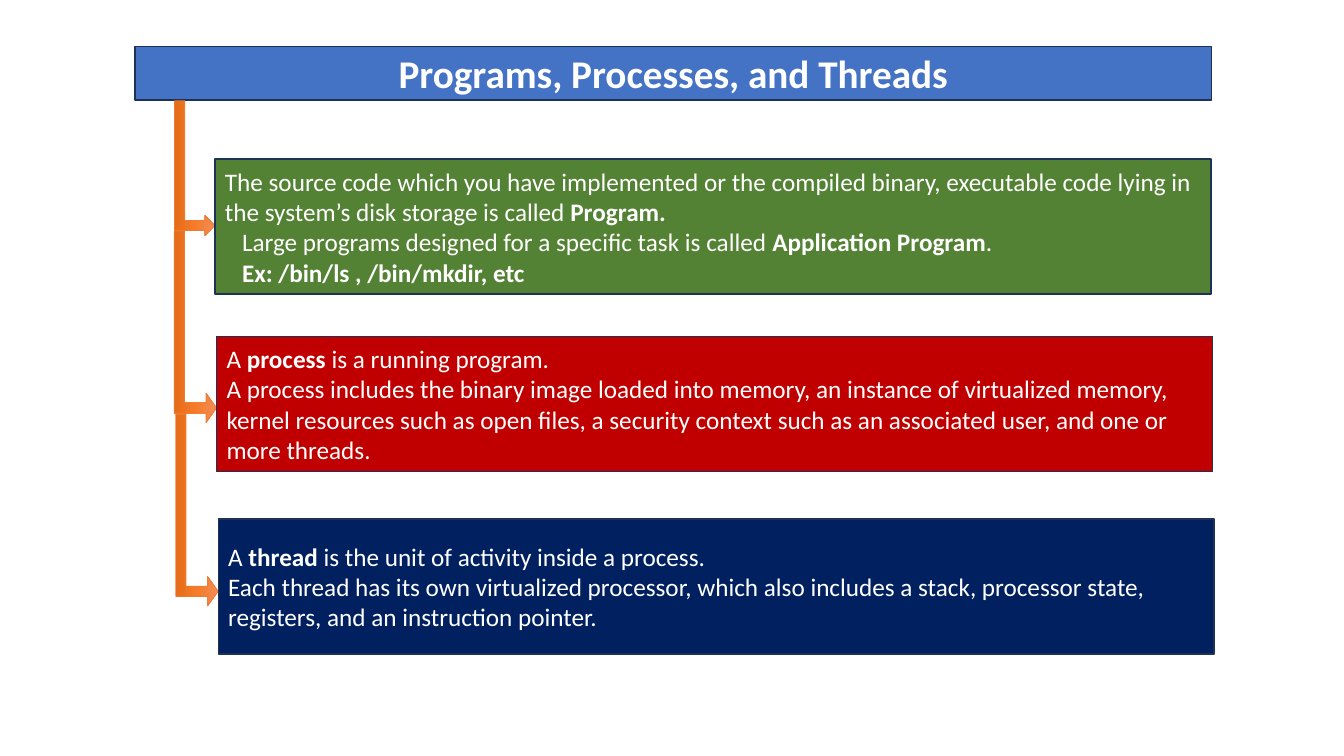
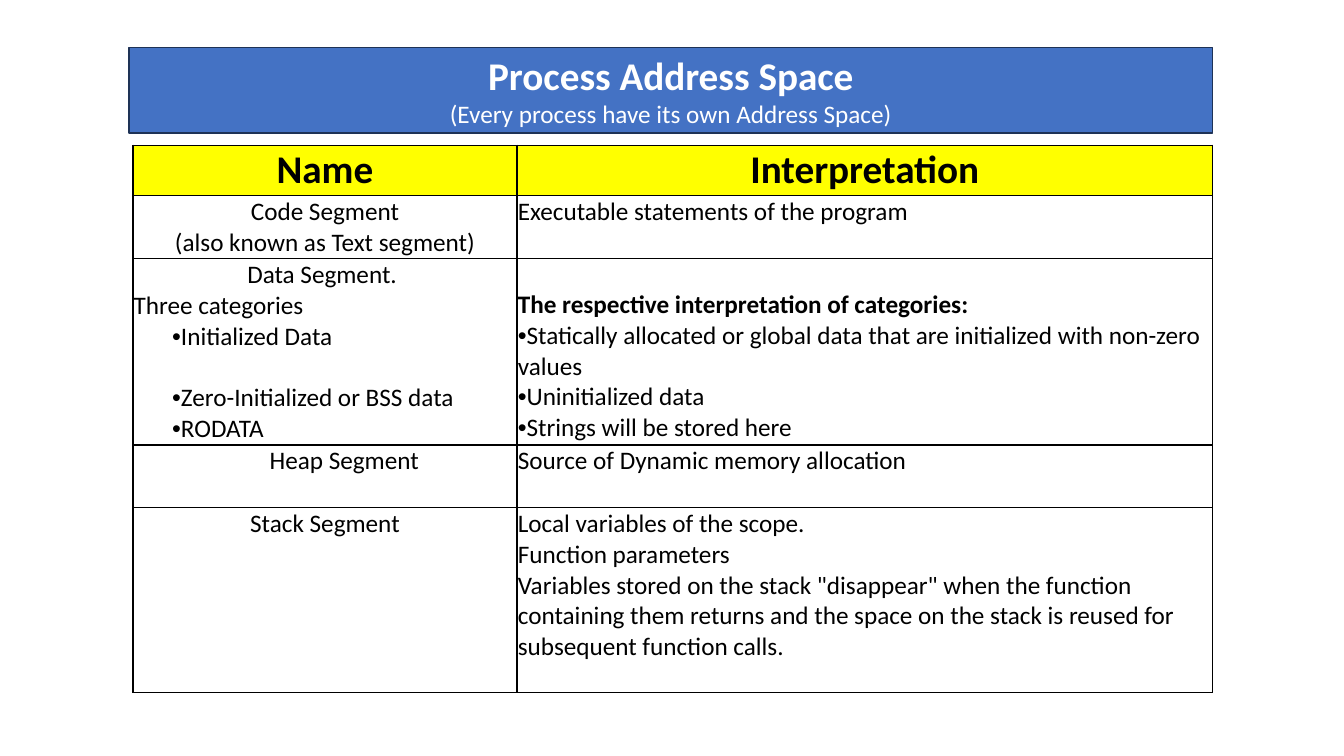
from copy import deepcopy

from lxml.etree import SubElement
from pptx import Presentation
from pptx.dml.color import RGBColor
from pptx.enum.shapes import MSO_SHAPE as SHAPE
from pptx.enum.text import MSO_ANCHOR as ANCHOR, MSO_AUTO_SIZE as AUTO_SIZE, PP_ALIGN as ALIGN
from pptx.oxml.ns import qn
from pptx.util import Cm, Pt

FONT = "Calibri"
WHITE = RGBColor(0xFF, 0xFF, 0xFF)
BLACK = RGBColor(0x00, 0x00, 0x00)
YELLOW = RGBColor(0xFF, 0xFF, 0x00)
BLUE = RGBColor(0x44, 0x72, 0xC4)
OUTLINE = RGBColor(0x1E, 0x32, 0x56)
GREEN = RGBColor(0x54, 0x82, 0x35)
RED = RGBColor(0xC0, 0x00, 0x00)
NAVY = RGBColor(0x00, 0x20, 0x60)
ORANGE = RGBColor(0xED, 0x7D, 0x31)
ORANGE_STOPS = (
    RGBColor(0xF1, 0x8C, 0x57),
    RGBColor(0xF6, 0x7B, 0x28),
    RGBColor(0xE5, 0x6C, 0x19),
)
HEADING_SIZE = 28
TEXT_SIZE = 18
LINE_HEIGHT = Pt(22)
CENTER = {"align": ALIGN.CENTER}
HEADING = {"size": HEADING_SIZE, "align": ALIGN.CENTER}
CATEGORY = {"indent": Cm(0.97), "bullet": True}
MEANING = {"bullet": True}

CONCEPTS = (
    (4.01, GREEN, (
        ("The source code which you have implemented or the compiled binary, executable code "
         "lying in the system’s disk storage is called **Program.**", {}),
        ("Large programs designed for a specific task is called **Application Program**.",
         {"indent": Cm(0.43)}),
        ("**Ex: /bin/ls , /bin/mkdir, etc**", {"indent": Cm(0.43)}),
    )),
    (8.48, RED, (
        ("A **process** is a running program.", {}),
        ("A process includes the binary image loaded into memory, an instance of virtualized "
         "memory, kernel resources such as open files, a security context such as an associated "
         "user, and one or more threads.", {}),
    )),
    (13.08, NAVY, (
        ("A **thread** is the unit of activity inside a process.", {}),
        ("Each thread has its own virtualized processor, which also includes a stack, processor "
         "state, registers, and an instruction pointer.", {}),
    )),
)
BRANCHES = (
    (2.54, 3.4, 1.02, (0.25, 0.25, 0.25)),
    (5.82, 4.83, 1.07, (0.24, 0.346, 0.25)),
    (10.44, 4.83, 1.07, (0.24, 0.346, 0.25)),
)
SEGMENTS = (
    (1.27, (("**Name**", HEADING),), (("**Interpretation**", HEADING),)),
    (1.58,
     (("Code Segment", CENTER), ("(also known as Text segment)", CENTER)),
     (("Executable statements of the program", {}),)),
    (4.69,
     (("Data Segment. ", CENTER),
      ("Three categories", {}),
      ("Initialized Data", CATEGORY),
      ("Zero-Initialized or BSS data", {**CATEGORY, "before": LINE_HEIGHT}),
      ("RODATA", CATEGORY)),
     (("**The respective interpretation of categories:**", {}),
      ("Statically allocated or global data that are initialized with non-zero values", MEANING),
      ("Uninitialized data", MEANING),
      ("Strings will be stored here", MEANING))),
    (1.58,
     (("Heap Segment", {**CENTER, "indent": Cm(0.97)}),),
     (("Source of Dynamic memory allocation", {}),)),
    (4.65,
     (("Stack Segment", CENTER),),
     (("Local variables of the scope.", {}),
      ("Function parameters", {}),
      ("Variables stored on the stack \"disappear\" when the function containing them returns "
       "and the space on the stack is reused for subsequent function calls.", {}))),
)
DATA_ROW = 2


def write(frame, text, size=TEXT_SIZE, color=BLACK, align=ALIGN.LEFT, indent=0,
          bullet=False, before=0):
    first = frame.paragraphs[0]
    paragraph = frame.add_paragraph() if first.runs else first
    properties = paragraph._p.get_or_add_pPr()
    properties.set("marL", str(int(indent)))
    properties.set("indent", "0")
    if bullet:
        SubElement(properties, qn("a:buFont")).set("typeface", "Arial")
        SubElement(properties, qn("a:buChar")).set("char", "•")
    paragraph.alignment = align
    paragraph.space_before = before
    for position, piece in enumerate(text.split("**")):
        if piece:
            run = paragraph.add_run()
            run.text = piece
            run.font.name = FONT
            run.font.size = Pt(size)
            run.font.bold = position % 2 == 1
            run.font.color.rgb = color


def paint(shape, fill, line=OUTLINE, weight=1):
    shape.fill.solid()
    shape.fill.fore_color.rgb = fill
    shape.line.color.rgb = line
    shape.line.width = Pt(weight)


def add_banner(slide, left, top, width, height, heading, subheading=None):
    banner = slide.shapes.title
    banner.left, banner.top, banner.width, banner.height = map(Cm, (left, top, width, height))
    outline = SubElement(banner._element.spPr, qn("a:prstGeom"))
    outline.set("prst", "roundRect")
    SubElement(outline, qn("a:avLst"))
    paint(banner, BLUE)
    frame = banner.text_frame
    frame.word_wrap = True
    frame.auto_size = AUTO_SIZE.NONE
    frame.vertical_anchor = ANCHOR.MIDDLE
    write(frame, f"**{heading}**", color=WHITE, **HEADING)
    if subheading:
        write(frame, subheading, color=WHITE, **CENTER)


def add_concept(slide, left, top, fill, paragraphs):
    box = slide.shapes.add_shape(SHAPE.RECTANGLE, Cm(left), Cm(top), Cm(25.1), Cm(3.4))
    box.shadow.inherit = False
    paint(box, fill)
    frame = box.text_frame
    frame.word_wrap = True
    frame.vertical_anchor = ANCHOR.MIDDLE
    for text, style in paragraphs:
        write(frame, text, color=WHITE, **style)


def add_branch(slide, tip, top, length, depth, proportions):
    left = tip - (depth + length) / 2
    upper = top + (length - depth) / 2
    arrow = slide.shapes.add_shape(SHAPE.BENT_UP_ARROW, Cm(left), Cm(upper), Cm(length), Cm(depth))
    arrow.shadow.inherit = False
    arrow.rotation = 90
    for index, proportion in enumerate(proportions):
        arrow.adjustments[index] = proportion
    arrow.fill.gradient()
    arrow.fill.gradient_angle = 270
    stops = arrow._element.spPr.find(".//" + qn("a:gsLst"))
    stops.append(deepcopy(stops[0]))
    for index, (stop, color) in enumerate(zip(arrow.fill.gradient_stops, ORANGE_STOPS)):
        stop.position = index / 2
        stop.color.rgb = color
    arrow.line.color.rgb = ORANGE
    arrow.line.width = Pt(0.5)


def add_borders(cell):
    properties = cell._tc.get_or_add_tcPr()
    for side in ("a:lnL", "a:lnR", "a:lnT", "a:lnB"):
        border = SubElement(properties, qn(side))
        border.set("w", str(Pt(1)))
        fill = SubElement(border, qn("a:solidFill"))
        SubElement(fill, qn("a:srgbClr")).set("val", str(BLACK))


def fill_cell(cell, fill, paragraphs):
    add_borders(cell)
    cell.fill.solid()
    cell.fill.fore_color.rgb = fill
    cell.margin_left = cell.margin_right = cell.margin_top = cell.margin_bottom = Cm(0.02)
    for text, style in paragraphs:
        write(cell.text_frame, text, **style)


def add_segments(slide):
    widths = (9.68, 17.53)
    height = sum(row[0] for row in SEGMENTS)
    table = slide.shapes.add_table(
        len(SEGMENTS), len(widths), Cm(3.35), Cm(3.66), Cm(sum(widths)), Cm(height)).table
    table.first_row = table.horz_banding = False
    for column, width in zip(table.columns, widths):
        column.width = Cm(width)
    for index, (row_height, *contents) in enumerate(SEGMENTS):
        table.rows[index].height = Cm(row_height)
        for column, paragraphs in enumerate(contents):
            fill_cell(table.cell(index, column), WHITE if index else YELLOW, paragraphs)
    table.cell(DATA_ROW, 1).margin_top = LINE_HEIGHT


def main():
    deck = Presentation()
    deck.slide_width, deck.slide_height = Cm(33.87), Cm(19.05)
    title_only = deck.slide_layouts[5]

    concepts = deck.slides.add_slide(title_only)
    add_banner(concepts, 3.4, 1.17, 27.13, 1.35, "Programs, Processes, and Threads")
    for index, (concept, branch) in enumerate(zip(CONCEPTS, BRANCHES)):
        left = 5.42 + 0.04 * index
        add_branch(concepts, left, *branch)
        add_concept(concepts, left, *concept)

    address_space = deck.slides.add_slide(title_only)
    add_banner(address_space, 3.25, 1.19, 27.31, 2.16, "Process Address Space",
               "(Every process have its own Address Space)")
    add_segments(address_space)

    deck.save("out.pptx")


if __name__ == "__main__":
    main()
